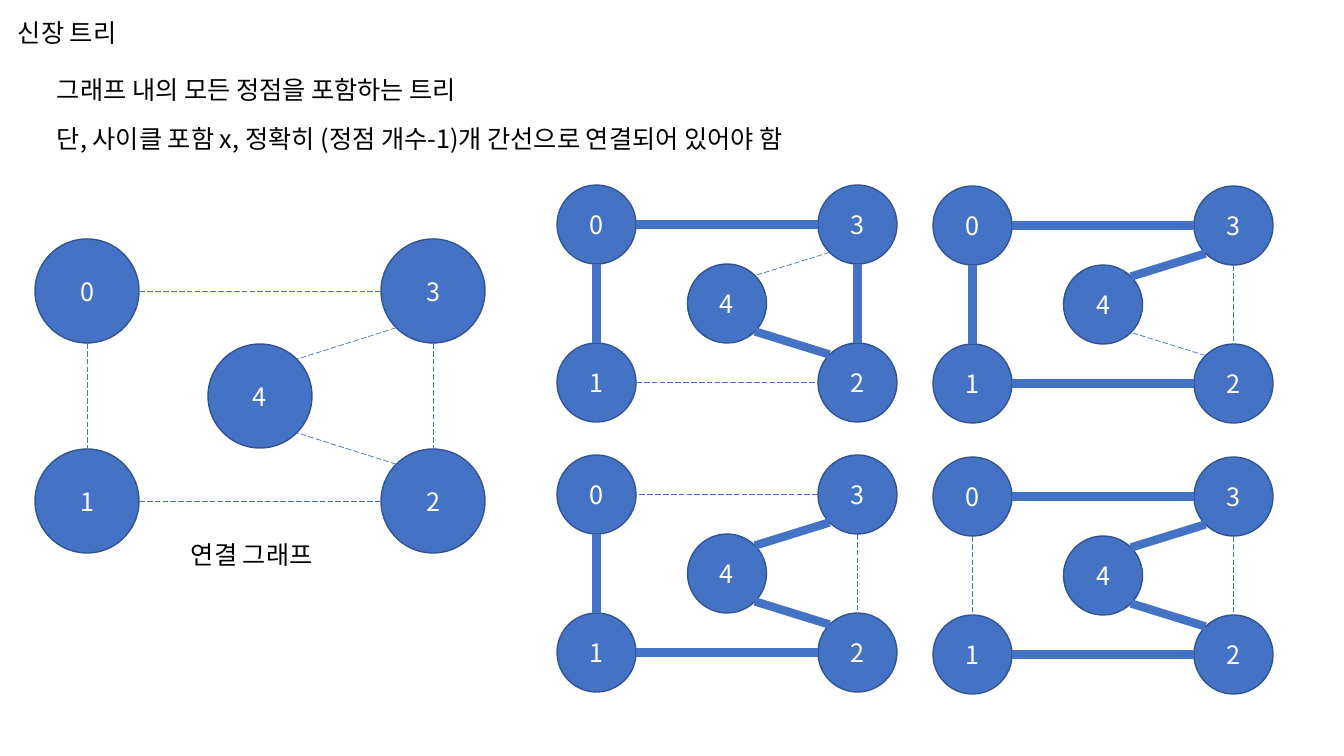
from dataclasses import dataclass
from math import sqrt

from lxml import etree
from pptx import Presentation
from pptx import util as u
from pptx.dml.color import RGBColor
from pptx.enum import dml, shapes, text
from pptx.oxml.ns import qn

EMU_PER_PIXEL = 914400 / 100.8


@dataclass(frozen=True)
class Theme:
    font: str = "Noto Sans CJK KR"
    size: int = 18
    ink: str = "000000"
    node_text: str = "FFFFFF"
    node: str = "4472C4"
    outline: str = "325491"
    outline_width: float = 1
    tree_width: float = 6
    unused_width: float = 0.5


@dataclass(frozen=True)
class Label:
    words: str
    left: int
    top: int
    width: int
    height: int = 40


@dataclass(frozen=True)
class Node:
    name: str
    column: float  # share of the graph's horizontal span
    row: float  # share of the graph's vertical span


@dataclass(frozen=True)
class Edge:
    start: str
    end: str
    direction: tuple[float, float]  # unit vector leaving the start node


@dataclass(frozen=True)
class Graph:
    left: int
    top: int
    span_x: int
    span_y: int
    diameter: int
    tree: frozenset[str] = frozenset()  # edges kept in the spanning tree


THEME = Theme()
DIAGONAL = 1 / sqrt(2)

LABELS = [
    Label("신장 트리", 8, 12, 131),
    Label("그래프 내의 모든 정점을 포함하는 트리", 47, 69, 473),
    Label("단, 사이클 포함 x, 정확히 (정점 개수-1)개 간선으로 연결되어 있어야 함", 47, 118, 836),
    Label("연결 그래프", 181, 534, 156),
]

NODES = [
    Node("0", 0, 0),
    Node("1", 0, 1),
    Node("2", 1, 1),
    Node("4", 0.5, 0.5),
    Node("3", 1, 0),
]

EDGES = [
    Edge("3", "4", (-DIAGONAL, DIAGONAL)),
    Edge("0", "1", (0, 1)),
    Edge("3", "2", (0, 1)),
    Edge("1", "2", (1, 0)),
    Edge("3", "0", (-1, 0)),
    Edge("2", "4", (-DIAGONAL, -DIAGONAL)),
]


def spanning_tree(left: int, top: int, *edges: str) -> Graph:
    return Graph(left, top, 261, 158, 79, frozenset(edges))


GRAPHS = [
    Graph(35, 239, 346, 210, 104),
    spanning_tree(933, 186, "34", "01", "12", "30"),
    spanning_tree(557, 185, "01", "32", "30", "24"),
    spanning_tree(557, 455, "34", "01", "12", "24"),
    spanning_tree(933, 457, "34", "12", "30", "24"),
]


def px(pixels: float) -> u.Emu:
    return u.Emu(round(pixels * EMU_PER_PIXEL))


def style_text(paragraph, color: str) -> None:
    font = paragraph.font
    font.size = u.Pt(THEME.size)
    font.color.rgb = RGBColor.from_string(color)
    font.name = THEME.font
    # Korean glyphs use the East Asian typeface
    properties = paragraph._p.find(".//" + qn("a:defRPr"))
    etree.SubElement(properties, qn("a:ea")).set("typeface", THEME.font)


def draw_label(slide, label: Label) -> None:
    box = slide.shapes.add_textbox(
        px(label.left), px(label.top), px(label.width), px(label.height))
    frame = box.text_frame
    frame.word_wrap = False
    frame.auto_size = text.MSO_AUTO_SIZE.SHAPE_TO_FIT_TEXT
    frame.text = label.words
    style_text(frame.paragraphs[0], THEME.ink)


def draw_node(group, name: str, left: float, top: float, diameter: int) -> None:
    shape = group.shapes.add_shape(
        shapes.MSO_SHAPE.OVAL, px(left), px(top), px(diameter), px(diameter))
    shape.shadow.inherit = False
    shape.fill.solid()
    shape.fill.fore_color.rgb = RGBColor.from_string(THEME.node)
    shape.line.color.rgb = RGBColor.from_string(THEME.outline)
    shape.line.width = u.Pt(THEME.outline_width)
    frame = shape.text_frame
    frame.vertical_anchor = text.MSO_ANCHOR.MIDDLE
    frame.text = name
    frame.paragraphs[0].alignment = text.PP_ALIGN.CENTER
    style_text(frame.paragraphs[0], THEME.node_text)


def draw_edge(group, start: tuple[float, float], end: tuple[float, float],
              in_tree: bool) -> None:
    connector = group.shapes.add_connector(
        shapes.MSO_CONNECTOR.STRAIGHT, *map(px, start + end))
    line = connector.line
    line.color.rgb = RGBColor.from_string(THEME.node)
    line.width = u.Pt(THEME.tree_width if in_tree else THEME.unused_width)
    if not in_tree:
        line.dash_style = dml.MSO_LINE.LONG_DASH
    etree.SubElement(connector._element.spPr, qn("a:effectLst"))


def draw_graph(slide, graph: Graph) -> None:
    group = slide.shapes.add_group_shape()
    radius = graph.diameter / 2
    centers: dict[str, tuple[float, float]] = {}
    for node in NODES:
        left = graph.left + node.column * graph.span_x
        top = graph.top + node.row * graph.span_y
        centers[node.name] = (left + radius, top + radius)
        draw_node(group, node.name, left, top, graph.diameter)
    # Edges run between the rims of the circles
    for edge in EDGES:
        dx, dy = (radius * part for part in edge.direction)
        start_x, start_y = centers[edge.start]
        end_x, end_y = centers[edge.end]
        draw_edge(group, (start_x + dx, start_y + dy), (end_x - dx, end_y - dy),
                  edge.start + edge.end in graph.tree)


def main() -> None:
    presentation = Presentation()
    presentation.slide_width = px(1344)
    presentation.slide_height = px(756)
    slide = presentation.slides.add_slide(presentation.slide_layouts[6])

    # Title, definition and caption
    for label in LABELS:
        draw_label(slide, label)

    # Connected graph and its four spanning trees
    for graph in GRAPHS:
        draw_graph(slide, graph)

    presentation.save("out.pptx")


main()
